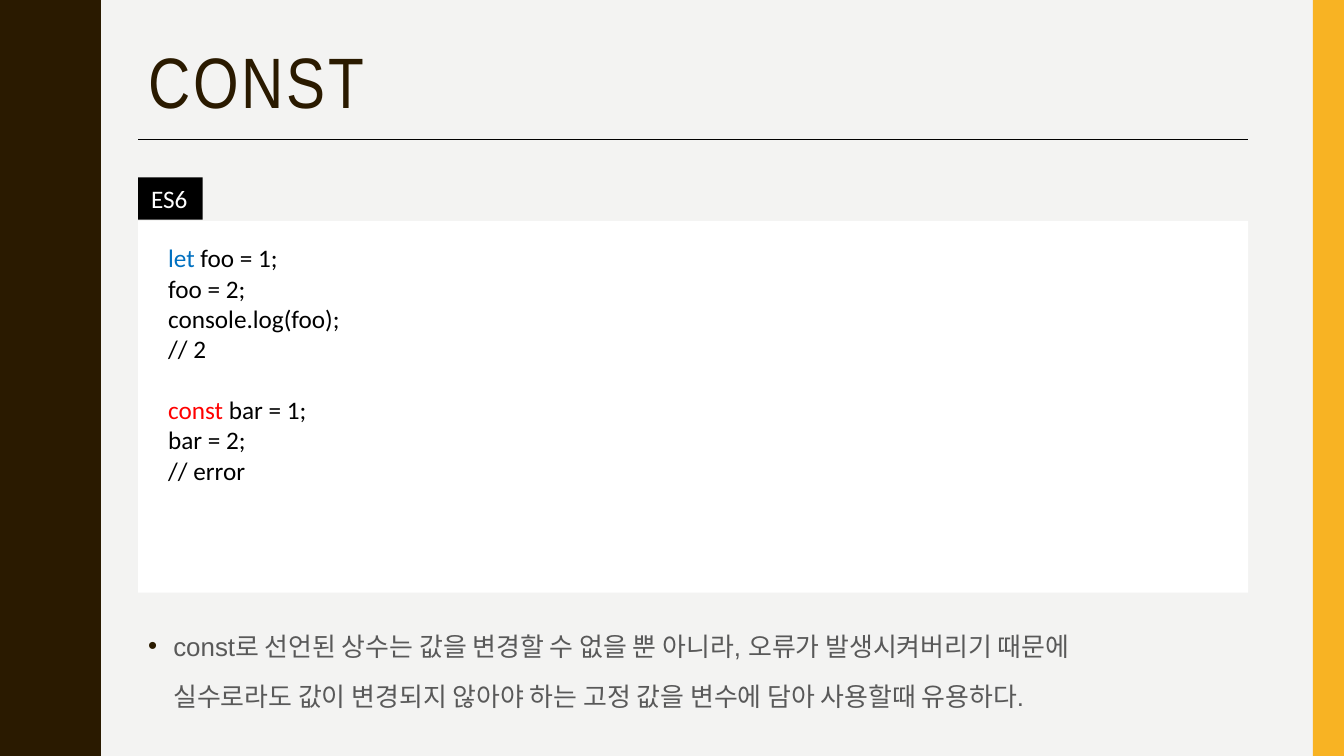
import pptx
import pptx.util
import pptx.dml.color
import pptx.enum.shapes
import pptx.enum.text
import pptx.oxml.ns
from lxml import etree

Inches = pptx.util.Inches
Pt = pptx.util.Pt

DARK = "2A1A00"
GOLD = "F8B323"
BLACK = "000000"
WHITE = "FFFFFF"
LEFT = 1.37
WIDE = 11.01
PERIOD = 1.5
RISE = [(0, 0.78), (0.07, 0.78), (0.14, 0.79), (0.2, 0.8), (0.25, 0.81),
        (0.29, 0.83), (0.33, 0.85), (0.38, 0.87), (0.42, 0.89), (0.46, 0.91),
        (0.5, 0.93), (0.55, 0.95), (0.61, 0.96), (0.68, 0.97), (0.75, 0.97)]
CODE = [
    [("let", "0070C0"), (" foo = 1;", BLACK)],
    [("foo = 2;", BLACK)],
    [("console.log(foo);", BLACK)],
    [("// 2", BLACK)],
    [("const", "FF0000"), (" bar = 1;", BLACK)],
    [("bar = 2;", BLACK)],
    [("// error", BLACK)],
]
NOTE = ("const로 선언된 상수는 값을 변경할 수 없을 뿐 아니라, 오류가 발생시켜버리기 때문에\v"
        "실수로라도 값이 변경되지 않아야 하는 고정 값을 변수에 담아 사용할때 유용하다.")


def color(code):
    return pptx.dml.color.RGBColor.from_string(code)


def add(parent, tag, **attrs):
    return etree.SubElement(parent, pptx.oxml.ns.qn(tag), attrs)


class Deck:
    """Holds the style and the current slide."""

    def __init__(self):
        self.show = pptx.Presentation()
        self.show.slide_width = Inches(13.33)
        self.show.slide_height = Inches(7.5)
        self.slide = self.show.slides.add_slide(self.show.slide_layouts[6])
        fill = self.slide.background.fill
        fill.solid()
        fill.fore_color.rgb = color("F3F3F2")
        self.shapes = self.slide.shapes

    def paint(self, shape, code):
        shape.shadow.inherit = False
        shape.fill.solid()
        shape.fill.fore_color.rgb = color(code)
        shape.line.fill.background()

    def rect(self, x, y, w, h, code):
        kind = pptx.enum.shapes.MSO_SHAPE.RECTANGLE
        box = self.shapes.add_shape(kind, Inches(x), Inches(y), Inches(w), Inches(h))
        self.paint(box, code)

    def wave(self, code):
        half = RISE + [(PERIOD - y, x) for y, x in RISE[-2:0:-1]]
        edge = [(x, n * PERIOD + y) for n in range(5) for y, x in half]
        points = edge + [(0.78, 7.5), (0, 7.5)]
        form = self.shapes.build_freeform(0, 0, scale=Inches(1))
        form.add_line_segments(points, close=True)
        self.paint(form.convert_to_shape(), code)

    def rule(self, x, y, w):
        kind = pptx.enum.shapes.MSO_CONNECTOR.STRAIGHT
        line = self.shapes.add_connector(kind, Inches(x), Inches(y), Inches(x + w), Inches(y))
        line.line.color.rgb = color(BLACK)
        line.line.width = Pt(0.5)
        add(line._element.spPr, "a:effectLst")

    def text(self, x, y, w, h, lines, size, face, wrap=True):
        box = self.shapes.add_textbox(Inches(x), Inches(y), Inches(w), Inches(h))
        frame = box.text_frame
        frame.word_wrap = wrap
        frame.vertical_anchor = pptx.enum.text.MSO_ANCHOR.TOP
        for i, parts in enumerate(lines):
            para = frame.add_paragraph() if i else frame.paragraphs[0]
            para.text = parts[0][0]
            for words, _ in parts[1:]:
                para.add_run().text = words
            codes = [code for _, code in parts]
            for n, run in enumerate(para.runs):
                run.font.size = Pt(size)
                run.font.name = face
                run.font.color.rgb = color(codes[min(n, len(codes) - 1)])
        return frame.paragraphs

    def title(self, words):
        para = self.text(LEFT, 0.42, 11.13, 1.63, [[(words, DARK)]], 51, "Arial Narrow")[0]
        para.line_spacing = 0.9
        para.runs[0].font._element.set("spc", "200")

    def bullet(self, words):
        para = self.text(LEFT, 6.02, WIDE, 1.35, [[(words, "595959")]], 18.5, "Arial")[0]
        para.line_spacing = 1.6
        para.space_before = Pt(7)
        props = para._p.get_or_add_pPr()
        props.set("marL", str(Inches(0.25)))
        props.set("indent", str(Inches(-0.25)))
        add(add(props, "a:buClr"), "a:srgbClr", val=DARK)
        add(props, "a:buFont", typeface="Arial")
        add(props, "a:buChar", char="•")

    def code(self, lines):
        paras = self.text(1.57, 2.36, 4.87, 2.83, lines, 18, "Calibri")
        paras[4].space_before = Pt(22)

    def label(self, words):
        self.rect(LEFT, 1.76, 0.64, 0.42, BLACK)
        self.text(1.4, 1.77, 0.57, 0.4, [[(words, WHITE)]], 18, "Calibri", False)


def main():
    deck = Deck()
    deck.wave(DARK)
    deck.rect(13.02, 0, 0.31, 7.5, GOLD)
    deck.rect(LEFT, 2.19, WIDE, 3.69, WHITE)
    deck.title("CONST")
    deck.bullet(NOTE)
    deck.rule(LEFT, 1.38, WIDE)
    deck.code(CODE)
    deck.label("ES6")
    deck.show.save("out.pptx")


if __name__ == "__main__":
    main()
